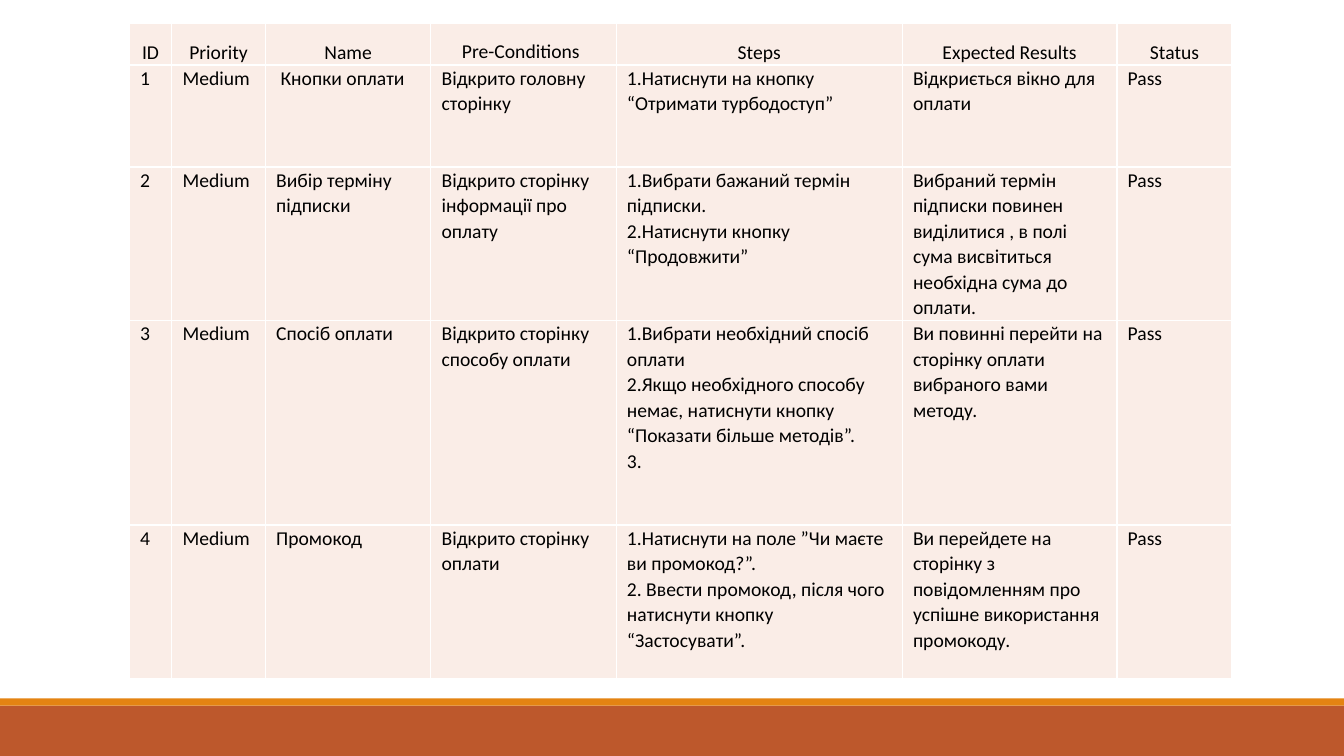
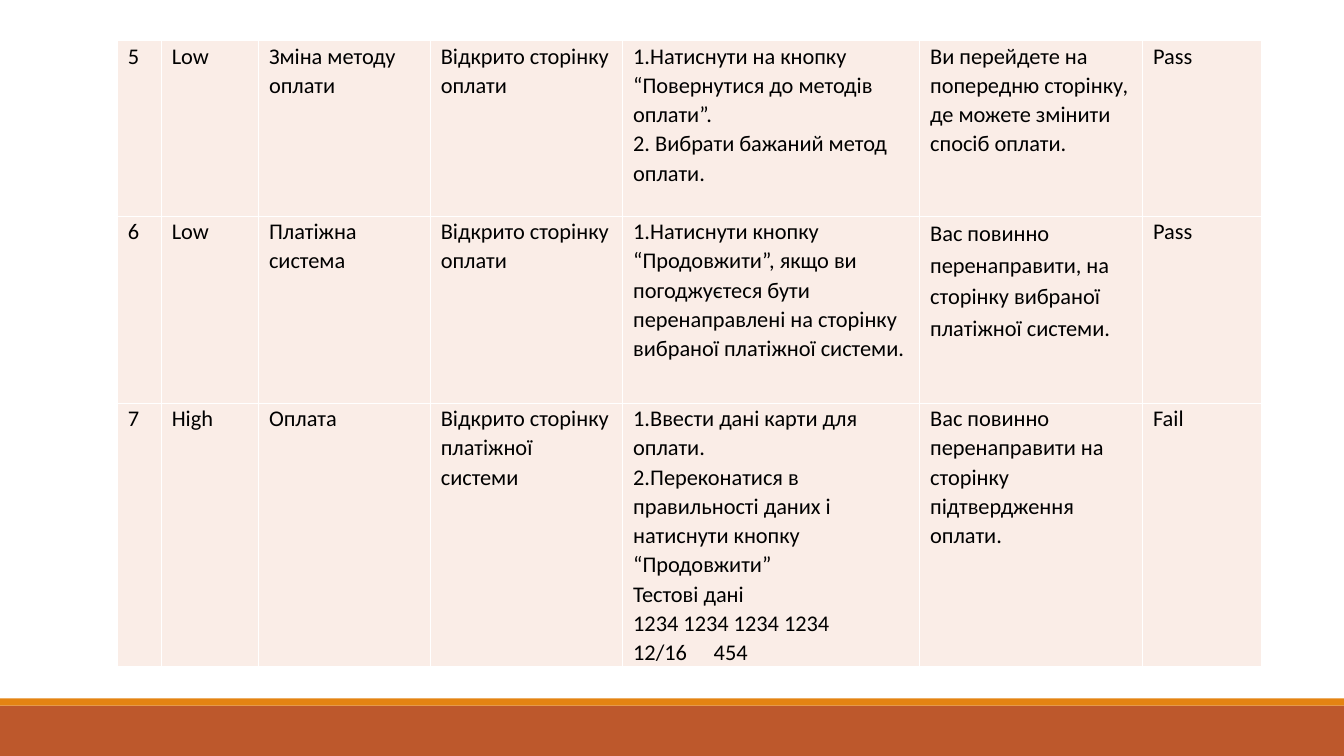
"""Build two slides of payment test cases."""
from dataclasses import dataclass

from lxml import etree
from pptx import Presentation
from pptx.dml.color import RGBColor
from pptx.enum.shapes import MSO_SHAPE
from pptx.enum.text import MSO_ANCHOR, PP_ALIGN
from pptx.oxml.ns import qn
from pptx.util import Cm, Pt

RECT = MSO_SHAPE.RECTANGLE
TOP, BOTTOM = MSO_ANCHOR.TOP, MSO_ANCHOR.BOTTOM
LEFT, CENTER = PP_ALIGN.LEFT, PP_ALIGN.CENTER

FONT = "Calibri"
BLACK, WHITE = "000000", "FFFFFF"
RUST, ORANGE, BLUSH = "BD582C", "E48312", "FAEDE7"
SLIDE_W, SLIDE_H = 33.87, 19.05
COLUMN_SHARES = (1.07, 2.36, 4.17, 4.67, 7.21, 5.41, 2.9)
CELL_INSET = 0.27
TAB_STOP = 2.03


@dataclass(frozen=True)
class Band:
    """A full-width strip at the foot of a slide."""
    top: float
    height: float
    color: str


@dataclass(frozen=True)
class Entry:
    """Cell text with a line spacing and an optional trailing space size."""
    text: str
    spacing: float = 1.07
    tail_size: int = 0


@dataclass(frozen=True)
class CaseTable:
    """A table of test cases, with lengths in centimetres."""
    left: float
    top: float
    width: float
    heights: tuple[float, ...]
    size: int
    rows: tuple[tuple[str | Entry, ...], ...]
    has_header: bool = False


BANDS = (Band(17.78, 1.27, RUST), Band(17.6, 0.18, ORANGE))

TABLES = (
    CaseTable(3.26, 0.6, 27.79, (1.04, 2.57, 3.86, 5.16, 3.86), 14, (
        ("ID", "Priority", "Name", Entry("Pre-Conditions", tail_size=17),
         "Steps", "Expected Results", "Status"),
        ("1", "Medium", " Кнопки оплати", "Відкрито головну сторінку",
         "1.Натиснути на кнопку “Отримати турбодоступ”",
         "Відкриється вікно для оплати", "Pass"),
        ("2", "Medium", "Вибір терміну підписки",
         "Відкрито сторінку інформації про оплату",
         "1.Вибрати бажаний термін підписки.\n"
         "2.Натиснути кнопку “Продовжити”",
         "Вибраний термін підписки повинен виділитися , в полі сума "
         "висвітиться необхідна сума до оплати.", "Pass"),
        ("3", "Medium", "Спосіб оплати", "Відкрито сторінку способу оплати",
         "1.Вибрати необхідний спосіб оплати\n"
         "2.Якщо необхідного способу немає, натиснути кнопку "
         "“Показати більше методів”.\n3.",
         "Ви повинні перейти на сторінку оплати вибраного вами методу.",
         "Pass"),
        ("4", "Medium", "Промокод", "Відкрито сторінку оплати",
         "1.Натиснути на поле ”Чи маєте ви промокод?”.\n"
         "2. Ввести промокод, після чого натиснути кнопку “Застосувати”.",
         "Ви перейдете на сторінку з повідомленням про успішне "
         "використання промокоду.", "Pass"),
    ), has_header=True),
    CaseTable(2.95, 1.03, 28.85, (4.42, 4.71, 6.63), 16, (
        ("5", "Low", "Зміна методу оплати", "Відкрито сторінку оплати",
         "1.Натиснути на кнопку “Повернутися до методів оплати”.\n"
         "2. Вибрати бажаний метод оплати.",
         "Ви перейдете на попередню сторінку, де можете змінити спосіб "
         "оплати.", "Pass"),
        ("6", "Low", "Платіжна система", "Відкрито сторінку оплати",
         "1.Натиснути кнопку “Продовжити”, якщо ви погоджуєтеся бути "
         "перенаправлені на сторінку вибраної платіжної системи.",
         Entry("Вас повинно перенаправити, на сторінку вибраної платіжної "
               "системи.", spacing=1.15), "Pass"),
        ("7", "High", "Оплата", "Відкрито сторінку платіжної системи",
         "1.Ввести дані карти для оплати.\n"
         "2.Переконатися в правильності даних і натиснути кнопку "
         "“Продовжити”\nТестові дані\n1234 1234 1234 1234\n12/16\t454",
         "Вас повинно перенаправити на сторінку підтвердження оплати.",
         "Fail"),
    )),
)


def rgb(color: str) -> RGBColor:
    """Turn a hex string into a colour."""
    return RGBColor.from_string(color)


def add_band(s, band: Band) -> None:
    """Draw one foot band."""
    sp = s.shapes.add_shape(RECT, 0, Cm(band.top), Cm(SLIDE_W), Cm(band.height))
    sp.shadow.inherit = False
    sp.fill.solid()
    sp.fill.fore_color.rgb = rgb(band.color)
    sp.line.fill.background()


def set_borders(cell, color: str, width: float) -> None:
    """Give a cell the same line on all four sides."""
    tc_pr = cell._tc.get_or_add_tcPr()
    for side in ("a:lnL", "a:lnR", "a:lnT", "a:lnB"):
        ln = etree.SubElement(tc_pr, qn(side), w=str(Pt(width)))
        fill = etree.SubElement(ln, qn("a:solidFill"))
        etree.SubElement(fill, qn("a:srgbClr"), val=color)


def add_tab_stop(p, position: float) -> None:
    """Set a left tab stop on a paragraph."""
    tabs = etree.SubElement(p._p.get_or_add_pPr(), qn("a:tabLst"))
    etree.SubElement(tabs, qn("a:tab"), pos=str(Cm(position)), algn="l")


def add_run(p, text: str, size: int) -> None:
    """Append one formatted run to a paragraph."""
    r = p.add_run()
    r.text = text
    r.font.name = FONT
    r.font.size = Pt(size)
    r.font.color.rgb = rgb(BLACK)


def fill_cell(cell, entry: Entry, size: int, is_header: bool) -> None:
    """Format a cell and write its paragraphs."""
    set_borders(cell, WHITE, 1)
    cell.fill.solid()
    cell.fill.fore_color.rgb = rgb(BLUSH)
    cell.margin_left = cell.margin_right = Cm(CELL_INSET)
    cell.margin_top = cell.margin_bottom = 0
    cell.vertical_anchor = BOTTOM if is_header else TOP
    tf = cell.text_frame
    for i, line in enumerate(entry.text.split("\n")):
        p = tf.add_paragraph() if i else tf.paragraphs[0]
        p.alignment = CENTER if is_header else LEFT
        p.line_spacing = entry.spacing
        if "\t" in line:
            add_tab_stop(p, TAB_STOP)
        add_run(p, line, size)
        if entry.tail_size:
            add_run(p, " ", entry.tail_size)


def add_case_table(s, spec: CaseTable) -> None:
    """Draw a table of test cases."""
    table = s.shapes.add_table(
        len(spec.rows), len(COLUMN_SHARES), Cm(spec.left), Cm(spec.top),
        Cm(spec.width), Cm(sum(spec.heights))).table
    table.first_row = spec.has_header
    table.horz_banding = False
    for column, share in zip(table.columns, COLUMN_SHARES):
        column.width = Cm(spec.width * share / sum(COLUMN_SHARES))
    for i, (height, row) in enumerate(zip(spec.heights, spec.rows)):
        table.rows[i].height = Cm(height)
        for cell, item in zip(table.rows[i].cells, row):
            entry = item if isinstance(item, Entry) else Entry(item)
            fill_cell(cell, entry, spec.size, spec.has_header and i == 0)
            for p in cell.text_frame.paragraphs:
                for r in p.runs:
                    r.font.bold = False


def main() -> None:
    """Build and save the presentation."""
    prs = Presentation()
    prs.slide_width, prs.slide_height = Cm(SLIDE_W), Cm(SLIDE_H)
    for spec in TABLES:
        s = prs.slides.add_slide(prs.slide_layouts[6])
        for band in BANDS:
            add_band(s, band)
        add_case_table(s, spec)
    prs.save("out.pptx")


if __name__ == "__main__":
    main()
